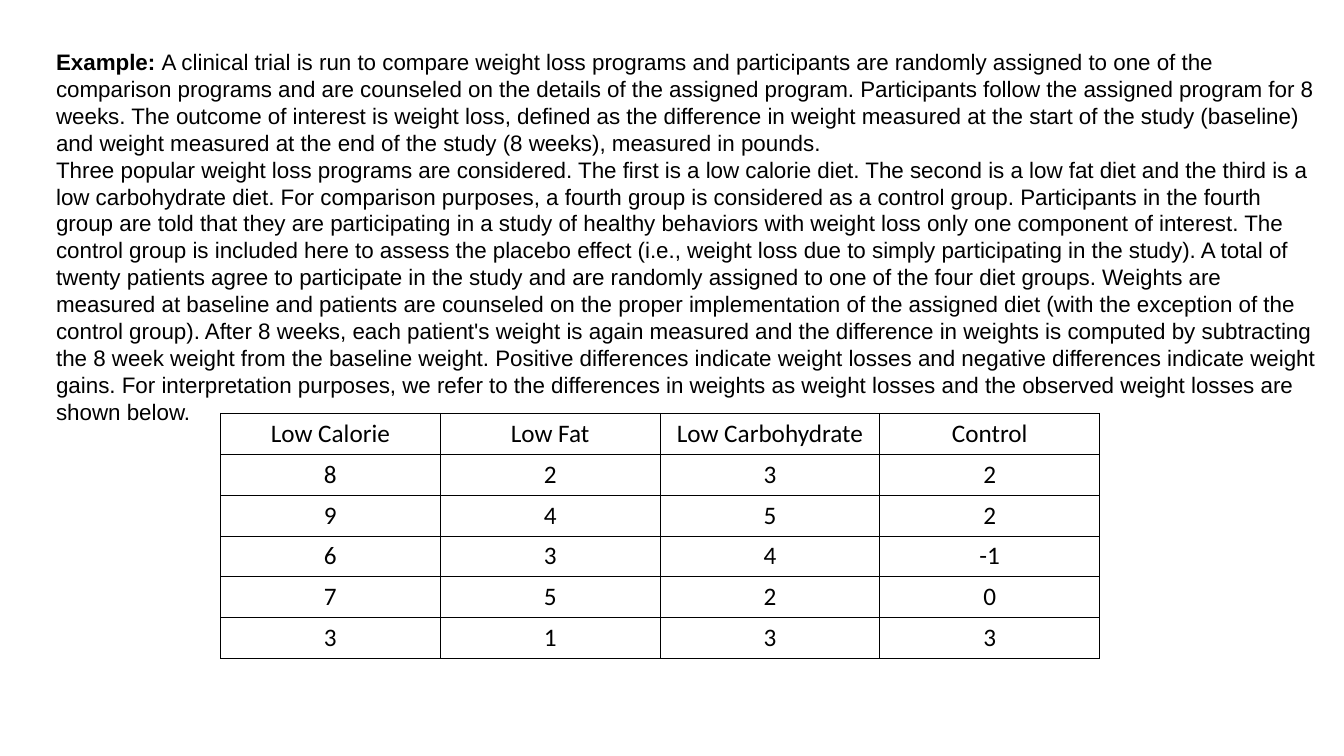
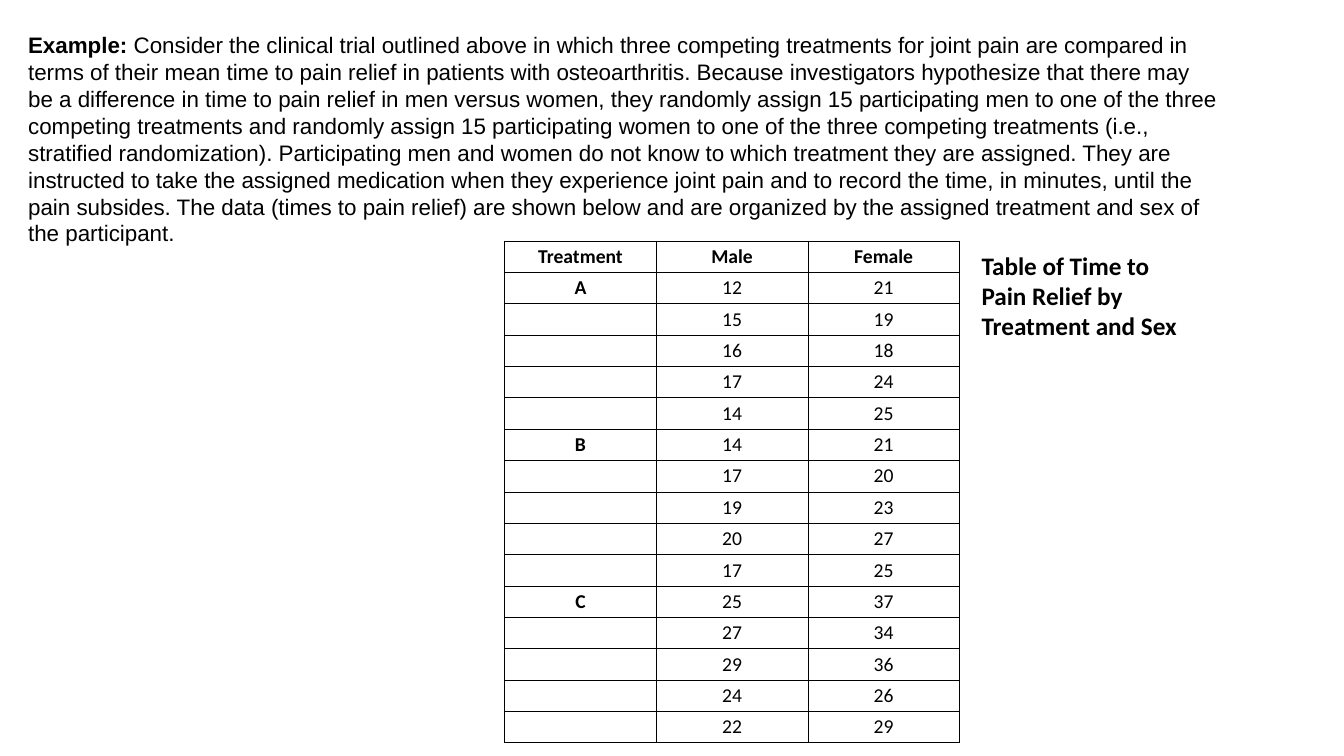
from lxml import etree
from pptx import Presentation
from pptx.dml.color import RGBColor
from pptx.enum.text import MSO_ANCHOR, PP_ALIGN
from pptx.oxml.ns import qn
from pptx.util import Pt

MIDDLE, TOP = MSO_ANCHOR.MIDDLE, MSO_ANCHOR.TOP
CENTER = PP_ALIGN.CENTER
BLANK_LAYOUT = 6
BLACK, WHITE = "000000", "FFFFFF"
BODY_FONT, TABLE_FONT = "Arial", "Calibri"
BODY_SIZE, BODY_LINE = 16, 19.2
BORDER_WIDTH = 0.6

PROGRAMS_INTRO = [
    [
        "A clinical trial is run to compare weight loss programs and participants are randomly "
        "assigned to one of the comparison programs and are counseled on the details of the "
        "assigned program.",
        "Participants follow the assigned program for 8 weeks.",
        "The outcome of interest is weight loss, defined as the difference in weight measured at "
        "the start of the study (baseline) and weight measured at the end of the study (8 weeks), "
        "measured in pounds.",
    ],
    [
        "Three popular weight loss programs are considered.",
        "The first is a low calorie diet.",
        "The second is a low fat diet and the third is a low carbohydrate diet.",
        "For comparison purposes, a fourth group is considered as a control group.",
        "Participants in the fourth group are told that they are participating in a study of "
        "healthy behaviors with weight loss only one component of interest.",
        "The control group is included here to assess the placebo effect (i.e., weight loss due "
        "to simply participating in the study).",
        "A total of twenty patients agree to participate in the study and are randomly assigned "
        "to one of the four diet groups.",
        "Weights are measured at baseline and patients are counseled on the proper implementation "
        "of the assigned diet (with the exception of the control group).",
        "After 8 weeks, each patient's weight is again measured and the difference in weights is "
        "computed by subtracting the 8 week weight from the baseline weight.",
        "Positive differences indicate weight losses and negative differences indicate weight "
        "gains.",
        "For interpretation purposes, we refer to the differences in weights as weight losses and "
        "the observed weight losses are shown below.",
    ],
]
WEIGHT_LOSSES = [
    ["Low Calorie", "Low Fat", "Low Carbohydrate", "Control"],
    [8, 2, 3, 2],
    [9, 4, 5, 2],
    [6, 3, 4, -1],
    [7, 5, 2, 0],
    [3, 1, 3, 3],
]
PAIN_INTRO = [
    [
        "Consider the clinical trial outlined above in which three competing treatments for joint "
        "pain are compared in terms of their mean time to pain relief in patients with "
        "osteoarthritis.",
        "Because investigators hypothesize that there may be a difference in time to pain relief "
        "in men versus women, they randomly assign 15 participating men to one of the three "
        "competing treatments and randomly assign 15 participating women to one of the three "
        "competing treatments (i.e., stratified randomization).",
        "Participating men and women do not know to which treatment they are assigned.",
        "They are instructed to take the assigned medication when they experience joint pain and "
        "to record the time, in minutes, until the pain subsides.",
        "The data (times to pain relief) are shown below and are organized by the assigned "
        "treatment and sex of the participant.",
    ],
]
RELIEF_TIMES = {
    "A": [(12, 21), (15, 19), (16, 18), (17, 24), (14, 25)],
    "B": [(14, 21), (17, 20), (19, 23), (20, 27), (17, 25)],
    "C": [(25, 37), (27, 34), (29, 36), (24, 26), (22, 29)],
}


def color(hex_code):
    """Turn a hex string into a colour."""
    return RGBColor.from_string(hex_code)


def style_font(font, name, size, bold=False):
    """Give a font its face, size, weight and the text colour."""
    font.name, font.size, font.bold = name, Pt(size), bold
    font.color.rgb = color(BLACK)


def add_text_frame(slide, left, top, width, height):
    """Add a wrapping text box and return its text frame."""
    frame = slide.shapes.add_textbox(Pt(left), Pt(top), Pt(width), Pt(height)).text_frame
    frame.word_wrap = True
    frame.vertical_anchor = TOP
    return frame


def add_example(slide, left, top, width, height, passages):
    """Add the passages as paragraphs, opened by the bold example label."""
    frame = add_text_frame(slide, left, top, width, height)
    for index, sentences in enumerate(passages):
        paragraph = frame.add_paragraph() if index else frame.paragraphs[0]
        style_font(paragraph.font, BODY_FONT, BODY_SIZE)
        paragraph.line_spacing = Pt(BODY_LINE)
        if index == 0:
            label = paragraph.add_run()
            label.text = "Example: "
            label.font.bold = True
        paragraph.add_run().text = " ".join(sentences)


def add_caption(slide, left, top, width, height, text):
    """Add a bold caption beside a table."""
    paragraph = add_text_frame(slide, left, top, width, height).paragraphs[0]
    paragraph.text = text
    style_font(paragraph.font, TABLE_FONT, 18, bold=True)


def draw_borders(cell):
    """Draw a thin black line on all four sides of a cell."""
    properties = cell._tc.get_or_add_tcPr()
    for index, side in enumerate(("lnL", "lnR", "lnT", "lnB")):
        line = etree.Element(qn(f"a:{side}"), w=str(int(Pt(BORDER_WIDTH))))
        fill = etree.SubElement(line, qn("a:solidFill"))
        etree.SubElement(fill, qn("a:srgbClr"), val=BLACK)
        properties.insert(index, line)


def fill_cell(cell, value, size, bold, margins):
    """Write one centred value into a white bordered cell."""
    cell.fill.solid()
    cell.fill.fore_color.rgb = color(WHITE)
    side, edge = margins
    cell.margin_left = cell.margin_right = Pt(side)
    cell.margin_top = cell.margin_bottom = Pt(edge)
    cell.vertical_anchor = MIDDLE
    paragraph = cell.text_frame.paragraphs[0]
    paragraph.text = str(value)
    paragraph.alignment = CENTER
    style_font(paragraph.font, TABLE_FONT, size, bold)
    if value == "":
        etree.SubElement(paragraph._p, qn("a:endParaRPr"), sz=str(size * 100))
    draw_borders(cell)


def add_data_table(slide, left, top, column_width, row_height, rows, size, margins, bold_labels):
    """Add a plain grid, with bold header and first column if asked."""
    row_count, column_count = len(rows), len(rows[0])
    table = slide.shapes.add_table(
        row_count, column_count, Pt(left), Pt(top),
        Pt(column_width * column_count), Pt(row_height * row_count)).table
    table.first_row = table.horz_banding = False
    for column in table.columns:
        column.width = Pt(column_width)
    for row_index, values in enumerate(rows):
        table.rows[row_index].height = Pt(row_height)
        for column_index, value in enumerate(values):
            bold = bold_labels and 0 in (row_index, column_index)
            fill_cell(table.cell(row_index, column_index), value, size, bold, margins)


def relief_rows():
    """List the relief times, naming each treatment on its first row only."""
    rows = [["Treatment", "Male", "Female"]]
    for treatment, times in RELIEF_TIMES.items():
        for index, (male, female) in enumerate(times):
            rows.append(["" if index else treatment, male, female])
    return rows


def main():
    """Build and save both slides."""
    deck = Presentation()
    deck.slide_width, deck.slide_height = Pt(960), Pt(540)
    layout = deck.slide_layouts[BLANK_LAYOUT]

    programs = deck.slides.add_slide(layout)
    add_data_table(programs, 157.5, 295.2, 157, 29.2, WEIGHT_LOSSES, 18, (7.2, 3.6), False)
    add_example(programs, 33, 31, 919.5, 317.5, PROGRAMS_INTRO)

    pain = deck.slides.add_slide(layout)
    add_data_table(pain, 360.5, 172.2, 108.3, 22.4, relief_rows(), 14, (5, 2.6), True)
    add_example(pain, 13, 19, 864.7, 181.4, PAIN_INTRO)
    add_caption(pain, 694, 175, 167, 72.7, "Table of Time to Pain Relief by Treatment and Sex")

    deck.save("out.pptx")


if __name__ == "__main__":
    main()
